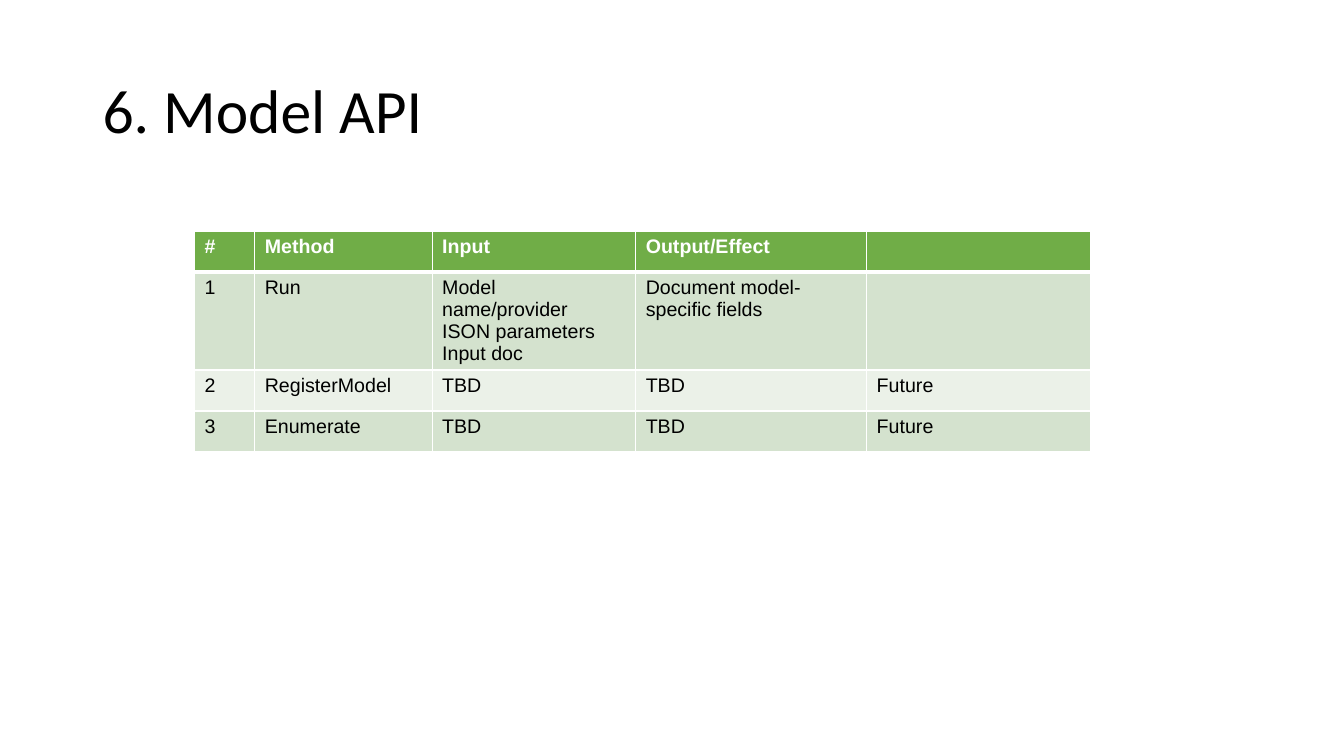
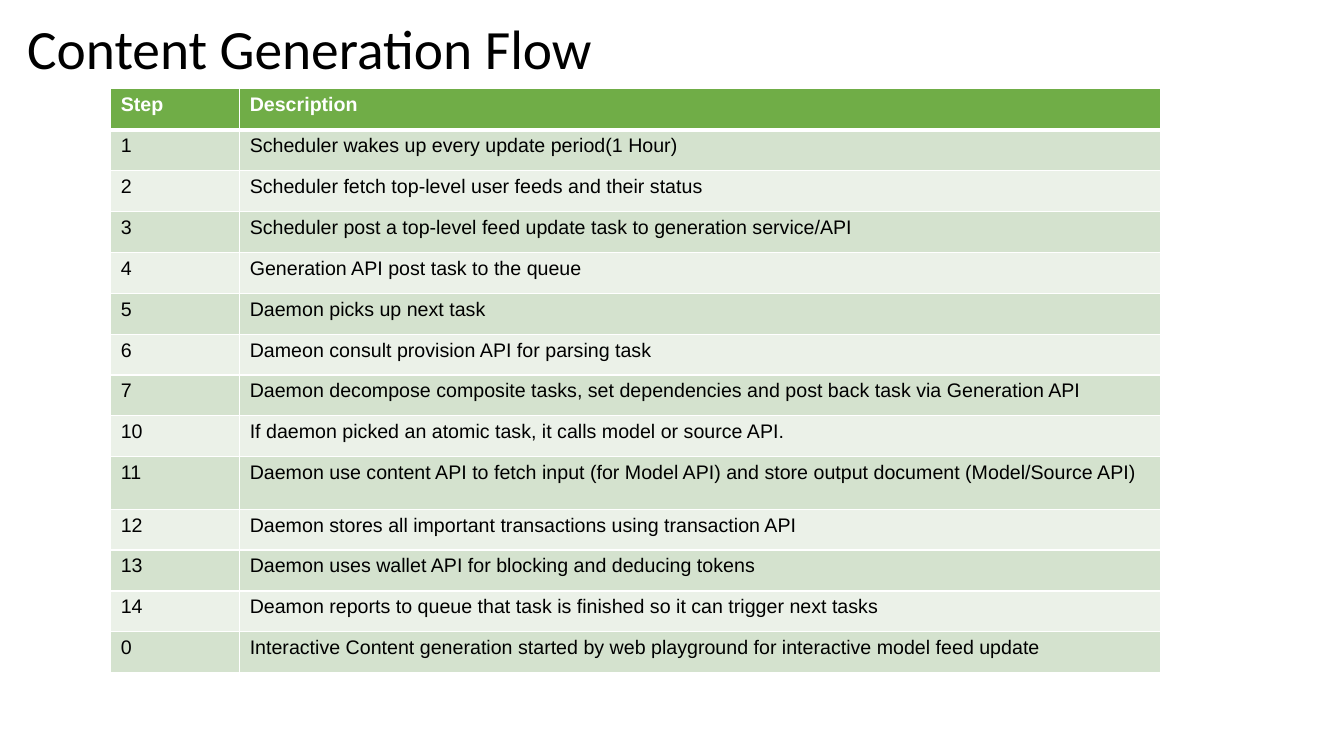
"""Build two slides that each hold a title and a banded table."""
from lxml import etree
from pptx import Presentation
from pptx.dml.color import RGBColor
from pptx.enum.text import MSO_ANCHOR, MSO_AUTO_SIZE, PP_ALIGN
from pptx.oxml.ns import qn
from pptx.util import Cm, Pt

LEFT = PP_ALIGN.LEFT
MIDDLE = MSO_ANCHOR.MIDDLE
NO_FIT = MSO_AUTO_SIZE.NONE
TITLE_ONLY = 5

COLORS = {
    "text": "000000",
    "line": "FFFFFF",
    "header": "70AD47",
    "header_text": "FFFFFF",
    "odd": "D4E2CE",
    "even": "EBF1E8",
}
TITLE_FONT = "Calibri"
TABLE_FONT = "Arial"
TABLE_SIZE = 14
ROW_HEIGHT = 1.03
THIN, THICK = 1, 3

METHODS = [
    ("#", "Method", "Input", "Output/Effect", ""),
    ("1", "Run", "Model name/provider\nISON parameters\nInput doc",
     "Document model-specific fields", ""),
    ("2", "RegisterModel", "TBD", "TBD", "Future"),
    ("3", "Enumerate", "TBD", "TBD", "Future"),
]
STEPS = [
    ("Step", "Description"),
    ("1", "Scheduler wakes up every update period(1 Hour)"),
    ("2", "Scheduler fetch top-level user feeds and their status"),
    ("3", "Scheduler post a top-level feed update task to generation service/API"),
    ("4", "Generation API post task to the queue"),
    ("5", "Daemon picks up next task"),
    ("6", "Dameon consult provision API for parsing task"),
    ("7", "Daemon decompose composite tasks, set dependencies and post back task via Generation API"),
    ("10", "If daemon picked an atomic task, it calls model or source API."),
    ("11", "Daemon use content API to fetch input (for Model API) and store output document (Model/Source API)"),
    ("12", "Daemon stores all important transactions using transaction API"),
    ("13", "Daemon uses wallet API for blocking and deducing tokens"),
    ("14", "Deamon reports to queue that task is finished so it can trigger next tasks"),
    ("0", "Interactive Content generation started by web playground for interactive model feed update"),
]


def style_runs(para, font_name, size, color, bold=False):
    """Format every run of a paragraph."""
    for span in para.runs:
        span.font.name = font_name
        span.font.size = Pt(size)
        span.font.bold = bold
        span.font.color.rgb = RGBColor.from_string(COLORS[color])


def add_title(page, box, text, size):
    """Place the title placeholder in its box."""
    title = page.shapes.title
    title.left, title.top, title.width, title.height = map(Cm, box)
    frame = title.text_frame
    frame.text = text
    frame.word_wrap = True
    frame.auto_size = NO_FIT
    frame.vertical_anchor = MIDDLE
    para = frame.paragraphs[0]
    para.alignment = LEFT
    para.line_spacing = 0.9
    style_runs(para, TITLE_FONT, size, "text")


def set_borders(cell, top, bottom):
    """Draw the four cell borders, with the given top and bottom widths."""
    properties = cell._tc.get_or_add_tcPr()
    for side, width in (("L", THIN), ("R", THIN), ("T", top), ("B", bottom)):
        line = etree.SubElement(properties, qn(f"a:ln{side}"), w=str(Pt(width)))
        fill = etree.SubElement(line, qn("a:solidFill"))
        etree.SubElement(fill, qn("a:srgbClr"), val=COLORS["line"])


def fill_cell(cell, text, row_index):
    """Write and format one cell according to its row."""
    is_header = row_index == 0
    band = "header" if is_header else "odd" if row_index % 2 else "even"
    set_borders(cell, THICK if row_index == 1 else THIN, THICK if is_header else THIN)
    cell.fill.solid()
    cell.fill.fore_color.rgb = RGBColor.from_string(COLORS[band])
    cell.text_frame.text = text
    for para in cell.text_frame.paragraphs:
        style_runs(para, TABLE_FONT, TABLE_SIZE,
                   "header_text" if is_header else "text", is_header)


def add_banded_table(page, corner, widths, rows, tall_rows):
    """Add a table at a corner, with column widths and any taller rows."""
    heights = [tall_rows.get(index, ROW_HEIGHT) for index in range(len(rows))]
    left, top = corner
    table = page.shapes.add_table(len(rows), len(widths), Cm(left), Cm(top),
                                  Cm(sum(widths)), Cm(sum(heights))).table
    for column, width in zip(table.columns, widths):
        column.width = Cm(width)
    for row_index, (row, height, texts) in enumerate(zip(table.rows, heights, rows)):
        row.height = Cm(height)
        for cell, text in zip(row.cells, texts):
            fill_cell(cell, text, row_index)


def add_table_page(deck, title, title_box, title_size, corner, widths, rows, tall_rows):
    """Add a slide with a title and a table."""
    page = deck.slides.add_slide(deck.slide_layouts[TITLE_ONLY])
    add_title(page, title_box, title, title_size)
    add_banded_table(page, corner, widths, rows, tall_rows)


def main():
    """Build and save the deck."""
    deck = Presentation()
    deck.slide_width, deck.slide_height = Cm(33.87), Cm(19.05)
    add_table_page(deck, "6. Model API", (2.33, 1.01, 29.21, 3.68), 44,
                   (4.9, 5.82), (1.52, 4.47, 5.13, 5.82, 5.64), METHODS, {})
    add_table_page(deck, "Content Generation Flow", (0.43, 0.38, 29.21, 1.85), 39.6,
                   (2.79, 2.24), (3.25, 23.22), STEPS, {9: 1.32})
    deck.save("out.pptx")


if __name__ == "__main__":
    main()
